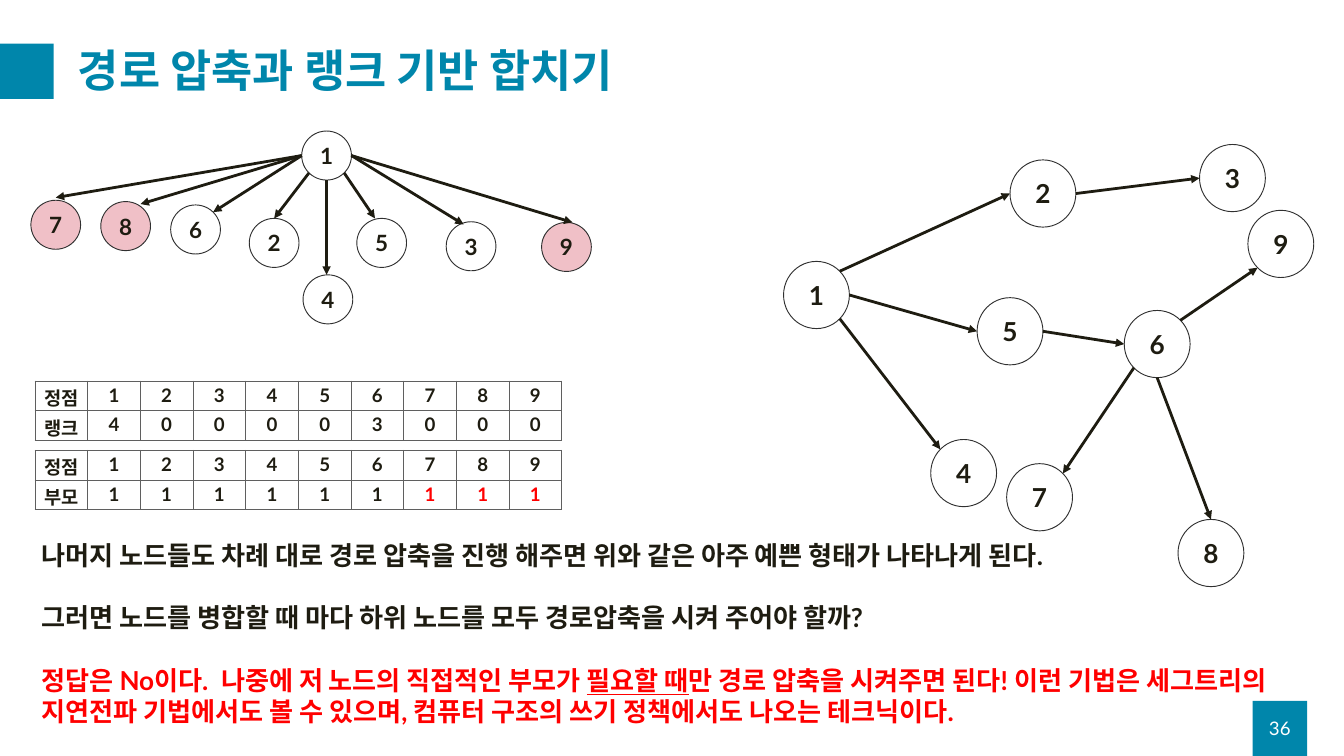
import math
from dataclasses import dataclass

import pptx
import pptx.dml.color
import pptx.enum.shapes
import pptx.enum.text
import pptx.oxml
import pptx.oxml.ns
import pptx.util

Inches = pptx.util.Inches
Pt = pptx.util.Pt
ALIGN = pptx.enum.text.PP_ALIGN
ANCHOR = pptx.enum.text.MSO_ANCHOR
SHAPE = pptx.enum.shapes.MSO_SHAPE
CONNECTOR = pptx.enum.shapes.MSO_CONNECTOR


@dataclass(frozen=True)
class Theme:
    """Colours, font and type sizes of the slide."""
    font: str = "Lato"
    accent: str = "0086AB"
    ink: str = "1E1C11"
    alert: str = "FF0000"
    white: str = "FFFFFF"
    pink: str = "F0C0C7"
    outline: str = "303030"
    grid: str = "5F5F5F"
    title: int = 48
    body: int = 28
    small_node: int = 24
    small: int = 20


THEME = Theme()
ANGLES = {"right": 0, "bottom right": 45, "bottom": 90, "bottom left": 135,
          "left": 180, "top left": 225, "top": 270, "top right": 315}

GRAPH_SIZE = (0.98, 1)
GRAPH_NODES = {
    "1": (11.66, 3.89), "2": (15.03, 2.38), "3": (17.85, 2.15),
    "4": (13.85, 6.54), "5": (14.54, 4.43), "6": (16.73, 4.62),
    "7": (14.98, 6.9), "8": (17.53, 7.73), "9": (18.57, 3.13),
}
GRAPH_EDGES = [
    ("1", "top right", "2", "left"), ("1", "right", "5", "left"),
    ("1", "bottom right", "4", "top left"), ("2", "right", "3", "left"),
    ("5", "right", "6", "left"), ("6", "bottom left", "7", "top right"),
    ("6", "bottom", "8", "top"), ("6", "top right", "9", "bottom left"),
]

TREE_SIZE = (0.74, 0.73)
TREE_NODES = {
    "1": (4.49, 1.95), "2": (3.71, 3.25), "3": (6.64, 3.3),
    "4": (4.51, 4.09), "5": (5.31, 3.25), "6": (2.54, 3.05),
    "7": (0.46, 2.98), "8": (1.5, 3), "9": (8.06, 3.31),
}
TREE_EDGES = [
    ("1", "left", "7", "top", 0, -0.04), ("1", "left", "8", "top right", -0.04, -0.07),
    ("1", "left", "6", "top right"), ("1", "bottom left", "2", "top"),
    ("1", "bottom", "4", "top", -0.02), ("1", "bottom right", "5", "top", -0.1),
    ("1", "right", "3", "top", -0.11, 0.04), ("1", "right", "9", "top", 0.09),
]
NEW_NODES = "789"


def rgb(value):
    """Return a colour object for a hex value."""
    return pptx.dml.color.RGBColor.from_string(value)


def add_span(para, text, size, color=THEME.ink, bold=True, underline=None):
    """Add one formatted run to a paragraph."""
    span = para.add_run()
    span.text = text
    span.font.name = THEME.font
    span.font.size = Pt(size)
    span.font.bold = bold
    span.font.underline = underline
    span.font.color.rgb = rgb(color)


def add_panel(page, kind, left, top, width, height, fill, line=None):
    """Add a plain filled shape with an optional outline."""
    panel = page.shapes.add_shape(kind, Inches(left), Inches(top), Inches(width), Inches(height))
    panel.shadow.inherit = False
    panel.fill.solid()
    panel.fill.fore_color.rgb = rgb(fill)
    if line:
        panel.line.color.rgb = rgb(line)
        panel.line.width = Pt(1)
    else:
        panel.line.fill.background()
    return panel


def label(panel, text, size, color=THEME.ink, bold=True):
    """Centre a short text inside a shape."""
    frame = panel.text_frame
    frame.vertical_anchor = ANCHOR.MIDDLE
    frame.margin_left = frame.margin_right = 0
    frame.paragraphs[0].alignment = ALIGN.CENTER
    add_span(frame.paragraphs[0], text, size, color, bold)


def rim_point(corner, size, side):
    """Return the point on an ellipse at a named side."""
    angle = math.radians(ANGLES[side])
    return tuple(start + length / 2 * (1 + turn)
                 for start, length, turn in zip(corner, size, (math.cos(angle), math.sin(angle))))


def add_arrow(page, start, end):
    """Add a straight arrow between two points."""
    arrow = page.shapes.add_connector(CONNECTOR.STRAIGHT, *map(Inches, start + end))
    arrow.line.color.rgb = rgb(THEME.ink)
    arrow.line.width = Pt(3)
    namespace = pptx.oxml.ns.nsdecls("a")
    arrow.line._get_or_add_ln().append(
        pptx.oxml.parse_xml(f'<a:tailEnd {namespace} type="triangle"/>'))
    arrow._element.spPr.append(pptx.oxml.parse_xml(f"<a:effectLst {namespace}/>"))


def add_graph(page, nodes, edges, size, text_size, marked=""):
    """Draw numbered nodes and the arrows between them."""
    for name, corner in nodes.items():
        fill = THEME.pink if name in marked else THEME.white
        node = add_panel(page, SHAPE.OVAL, *corner, *size, fill, THEME.outline)
        label(node, name, text_size)
    for parent, out_side, child, in_side, *nudge in edges:
        shift = (nudge + [0, 0])[:2]
        end = rim_point(nodes[child], size, in_side)
        add_arrow(page, rim_point(nodes[parent], size, out_side),
                  (end[0] + shift[0], end[1] + shift[1]))


def set_borders(cell):
    """Draw a thin line on every side of a cell."""
    namespace = pptx.oxml.ns.nsdecls("a")
    properties = cell._tc.get_or_add_tcPr()
    for index, side in enumerate(("lnL", "lnR", "lnT", "lnB")):
        properties.insert(index, pptx.oxml.parse_xml(
            f'<a:{side} {namespace} w="{Pt(1)}"><a:solidFill>'
            f'<a:srgbClr val="{THEME.grid}"/></a:solidFill></a:{side}>'))


def add_vertex_table(page, top, name, values, alert_from=10):
    """Add a table of one value per vertex, with late columns in red."""
    rows = [["정점", *"123456789"], [name, *values]]
    table = page.shapes.add_table(2, 10, Inches(0.52), Inches(top),
                                  Inches(7.84), Inches(0.87)).table
    table.first_row = table.horz_banding = False
    for row_index, row in enumerate(rows):
        for column, text in enumerate(row):
            cell = table.cell(row_index, column)
            cell.fill.background()
            cell.margin_left = cell.margin_right = cell.margin_bottom = 0
            cell.margin_top = Inches(0.04)
            set_borders(cell)
            para = cell.text_frame.paragraphs[0]
            para.alignment = ALIGN.CENTER
            alert = row_index == 1 and column >= alert_from
            add_span(para, text, THEME.small, THEME.alert if alert else THEME.ink)


def add_title(page, text):
    """Place and format the slide title."""
    title = page.shapes.title
    title.left, title.top, title.width, title.height = map(Inches, (1.06, 0.5, 18.25, 1.18))
    title.text_frame.vertical_anchor = ANCHOR.MIDDLE
    para = title.text_frame.paragraphs[0]
    para.alignment = ALIGN.LEFT
    para.line_spacing = 0.9
    add_span(para, text, THEME.title, THEME.accent)


def add_explanation(page):
    """Add the three explanatory paragraphs."""
    box = page.shapes.add_textbox(*map(Inches, (0.52, 7.97, 19.29, 2.93)))
    frame = box.text_frame
    frame.word_wrap = True
    paragraphs = [
        [("나머지 노드들도 차례 대로 경로 압축을 진행 해주면 위와 같은 아주 예쁜 형태가 나타나게 된다.", THEME.ink, None)],
        [("그러면 노드를 병합할 때 마다 하위 노드를 모두 경로압축을 시켜 주어야 할까?", THEME.ink, None)],
        [("정답은 No이다.  나중에 저 노드의 직접적인 부모가 ", THEME.alert, None),
         ("필요할 때", THEME.alert, True),
         ("만 경로 압축을 시켜주면 된다! 이런 기법은 세그트리의 지연전파 기법에서도 볼 수 있으며, "
          "컴퓨터 구조의 쓰기 정책에서도 나오는 테크닉이다.", THEME.alert, None)],
    ]
    for index, spans in enumerate(paragraphs):
        para = frame.add_paragraph() if index else frame.paragraphs[0]
        para.space_before = Pt(33.6 if index else 0)
        for text, color, underline in spans:
            add_span(para, text, THEME.body, color, underline=underline)


def main():
    """Build the slide and save the deck."""
    deck = pptx.Presentation()
    deck.slide_width, deck.slide_height = Inches(20), Inches(11.25)
    page = deck.slides.add_slide(deck.slide_layouts[5])
    add_panel(page, SHAPE.RECTANGLE, -0.01, 0.65, 0.81, 0.82, THEME.accent)
    add_title(page, "경로 압축과 랭크 기반 합치기")
    add_graph(page, GRAPH_NODES, GRAPH_EDGES, GRAPH_SIZE, THEME.body)
    add_graph(page, TREE_NODES, TREE_EDGES, TREE_SIZE, THEME.small_node, NEW_NODES)
    add_vertex_table(page, 5.67, "랭크", "400003000")
    add_vertex_table(page, 6.7, "부모", "1" * 9, alert_from=7)
    add_explanation(page)
    number = add_panel(page, SHAPE.RECTANGLE, 18.64, 10.43, 0.81, 0.82, THEME.accent)
    label(number, "36", THEME.small, THEME.white, bold=False)


    deck.save("out.pptx")


if __name__ == "__main__":
    main()
